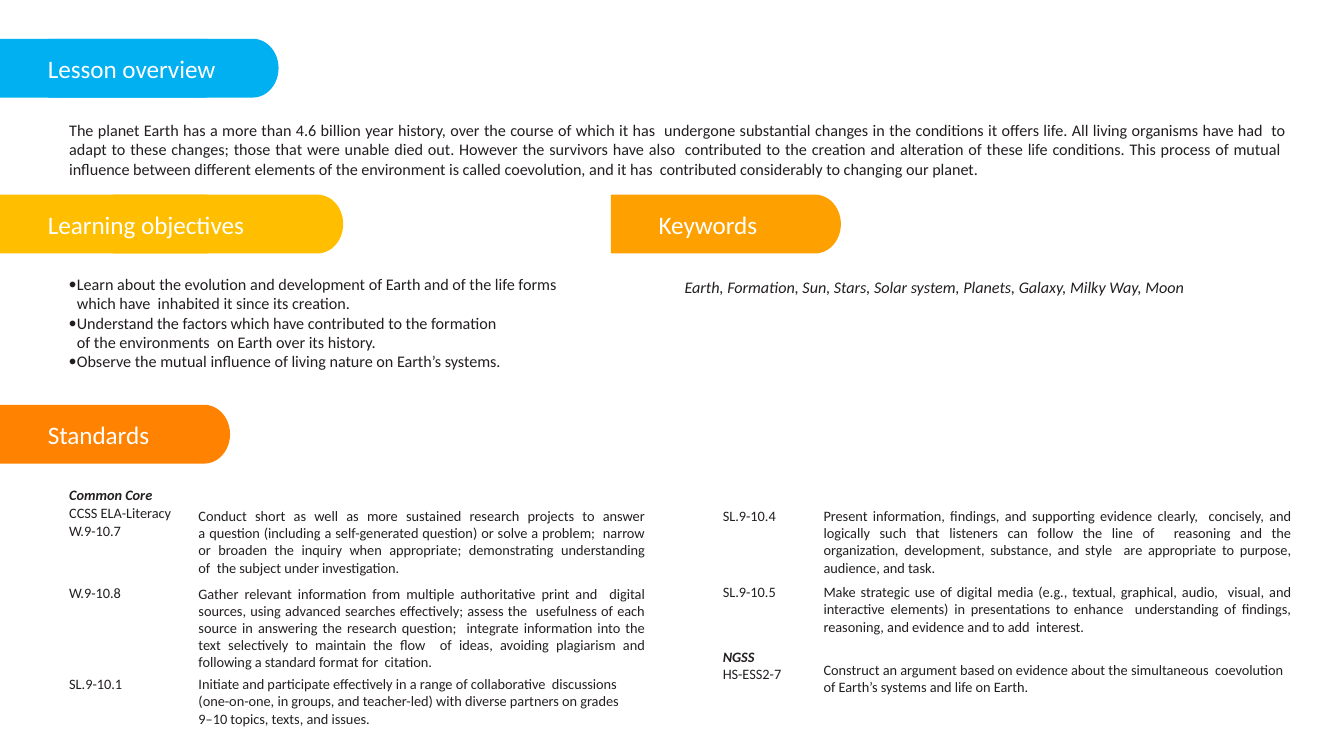
from dataclasses import dataclass
from math import cos, pi, sin

from lxml.etree import SubElement
from pptx import Presentation
from pptx.dml.color import RGBColor as RGB
from pptx.enum.text import MSO_AUTO_SIZE as AutoSize, PP_ALIGN as Align
from pptx.oxml.ns import qn
from pptx.util import Inches, Pt


@dataclass(frozen=True)
class Theme:
    font: str = "Calibri"
    white: str = "FFFFFF"
    ink: str = "231F20"
    blue: str = "00B0F0"
    yellow: str = "FFBF00"
    amber: str = "FFA001"
    orange: str = "FF8201"
    title: int = 28
    body: int = 18
    small: int = 16
    tracking: int = -2  # hundredths of a point


THEME = Theme()
W, H = 20.79, 11.69
BAR_W, BAR_H = 17.12, 7.78  # shares of the slide's width and height, in percent
LEFT = 5.1                  # left margin of the content, in percent


def across(share):
    return Inches(W * share / 100)


def down(share):
    return Inches(H * share / 100)


def add_text(s, x, y, w, lines, paragraphs, size, color=THEME.ink,
             align=Align.LEFT, italic=False, bullets=False, heading=False, gap=0):
    """Text box at shares x, y of the slide; its height follows the line count."""
    height = Inches(lines * size * 1.22 / 72 + 0.01)
    box = s.shapes.add_textbox(across(x), down(y), across(w), height)
    tf = box.text_frame
    tf.word_wrap = True
    tf.auto_size = AutoSize.SHAPE_TO_FIT_TEXT
    tf.margin_left = 0 if bullets else Inches(0.01)
    tf.margin_top = Inches(0.01)
    tf.margin_right = tf.margin_bottom = 0
    for i, text in enumerate(paragraphs):
        p = tf.paragraphs[0] if i == 0 else tf.add_paragraph()
        p.text = text
        p.alignment = align
        if gap and i > 0:
            p.space_before = Pt(gap)
        if bullets:
            pPr = p._p.get_or_add_pPr()
            pPr.set("marL", str(Inches(0.13)))
            pPr.set("indent", str(-Inches(0.13)))
            SubElement(pPr, qn("a:buFont")).set("typeface", THEME.font)
            SubElement(pPr, qn("a:buChar")).set("char", "•")
        for r in p.runs:
            r.font.name, r.font.size = THEME.font, Pt(size)
            r.font.color.rgb = RGB.from_string(color)
            r.font.italic = italic or (heading and i == 0)
            r.font.bold = heading and i == 0
            r._r.get_or_add_rPr().set("spc", str(THEME.tracking))


def add_bar(s, x, y, color):
    """Bar with a rounded right end."""
    left, top, width, height = across(x), down(y), across(BAR_W), down(BAR_H)
    rx, ry = Inches(0.4), height / 2
    arc = [(left + width - rx + rx * cos(a), top + ry + ry * sin(a))
           for a in (-pi / 2 + pi * k / 24 for k in range(25))]
    builder = s.shapes.build_freeform(left, top)
    builder.add_line_segments(arc + [(left, top + height)], close=True)
    sp = builder.convert_to_shape()
    sp.shadow.inherit = False
    sp.fill.solid()
    sp.fill.fore_color.rgb = RGB.from_string(color)
    sp.line.fill.background()


def add_banner(s, x, y, title, color, extension=0):
    """Section title on a bar; a second bar, shifted right, extends it."""
    for shift in (0, extension) if extension else (0,):
        add_bar(s, x + shift, y, color)
    indent = 3.51
    add_text(s, x + indent, y + 1.8, BAR_W + extension - indent, 1, [title],
             THEME.title, THEME.white)


def add_standards(s, code_x, code_w, text_x, text_w, rows, gap=0):
    """Column of standards: codes on the left, descriptions on the right."""
    for code_y, codes, text_y, lines, align, texts in rows:
        add_text(s, text_x, text_y, text_w, lines, texts, THEME.small,
                 align=align, gap=gap)
        add_text(s, code_x, code_y, code_w, len(codes), codes, THEME.small,
                 heading=len(codes) > 1, gap=gap)


OVERVIEW = (
    "The planet Earth has a more than 4.6 billion year history, over the course of which it "
    "has  undergone substantial changes in the conditions it offers life. All living organisms "
    "have had  to adapt to these changes; those that were unable died out. However the survivors "
    "have also  contributed to the creation and alteration of these life conditions. This process "
    "of mutual  influence between different elements of the environment is called coevolution, "
    "and it has  contributed considerably to changing our planet.")

OBJECTIVES = [
    "Learn about the evolution and development of Earth and of the life forms which have  "
    "inhabited it since its creation.",
    "Understand the factors which have contributed to the formation\v"
    "of the environments  on Earth over its history.",
    "Observe the mutual influence of living nature on Earth’s systems."]

KEYWORDS = "Earth, Formation, Sun, Stars, Solar system, Planets, Galaxy, Milky Way, Moon"

# Each row: code top, codes, text top, text lines, alignment, texts
LEFT_STANDARDS = [
    (64.24, ["Common Core", "CCSS ELA-Literacy  W.9-10.7"], 66.98, 4, Align.JUSTIFY, [
        "Conduct short as well as more sustained research projects to answer\v"
        "a question (including a self-generated question) or solve a problem;  narrow or broaden "
        "the inquiry when appropriate; demonstrating understanding\v"
        "of  the subject under investigation."]),
    (77.25, ["W.9-10.8"], 77.25, 5, Align.JUSTIFY, [
        "Gather relevant information from multiple authoritative print and  digital sources, "
        "using advanced searches effectively; assess the  usefulness of each source in answering "
        "the research question;  integrate information into the text selectively to maintain the "
        "flow  of ideas, avoiding plagiarism and following a standard format for  citation."]),
    (89.22, ["SL.9-10.1"], 89.22, 3, Align.LEFT, [
        "Initiate and participate effectively in a range of collaborative  discussions "
        "(one-on-one, in groups, and teacher-led) with diverse partners on grades",
        "9–10 topics, texts, and issues."]),
]

RIGHT_STANDARDS = [
    (66.98, ["SL.9-10.4"], 66.98, 4, Align.JUSTIFY, [
        "Present information, findings, and supporting evidence clearly,  concisely, and "
        "logically such that listeners can follow the line of  reasoning and the organization, "
        "development, substance, and style  are appropriate to purpose, audience, and task."]),
    (77.07, ["SL.9-10.5"], 77.07, 3, Align.JUSTIFY, [
        "Make strategic use of digital media (e.g., textual, graphical, audio,  visual, and "
        "interactive elements) in presentations to enhance  understanding of findings, "
        "reasoning, and evidence and to add  interest."]),
    (85.63, ["NGSS", "HS-ESS2-7"], 87.34, 2, Align.LEFT, [
        "Construct an argument based on evidence about the simultaneous  coevolution of Earth’s "
        "systems and life on Earth."]),
]


def build_lesson_slide(prs):
    s = prs.slides.add_slide(prs.slide_layouts[6])
    # Overview
    add_banner(s, 0, 5.13, "Lesson overview", THEME.blue, extension=3.61)
    add_text(s, LEFT, 15.83, 90.57, 3, [OVERVIEW], THEME.body, align=Align.JUSTIFY)
    # Objectives
    add_banner(s, 0, 25.75, "Learning objectives", THEME.yellow, extension=8.42)
    add_text(s, LEFT, 36.18, 37.28, 5, OBJECTIVES, THEME.body, bullets=True)
    # Keywords
    add_banner(s, 45.45, 25.75, "Keywords", THEME.amber)
    add_text(s, 50.89, 36.61, 39.44, 1, [KEYWORDS], THEME.body, italic=True)
    # Standards
    add_banner(s, 0, 53.55, "Standards", THEME.orange)
    add_standards(s, LEFT, 8.71, 14.72, 33.29, LEFT_STANDARDS, gap=1)
    add_standards(s, 53.73, 5.68, 61.23, 34.87, RIGHT_STANDARDS)


def main():
    prs = Presentation()
    prs.slide_width, prs.slide_height = Inches(W), Inches(H)
    build_lesson_slide(prs)
    prs.save("out.pptx")


if __name__ == "__main__":
    main()
